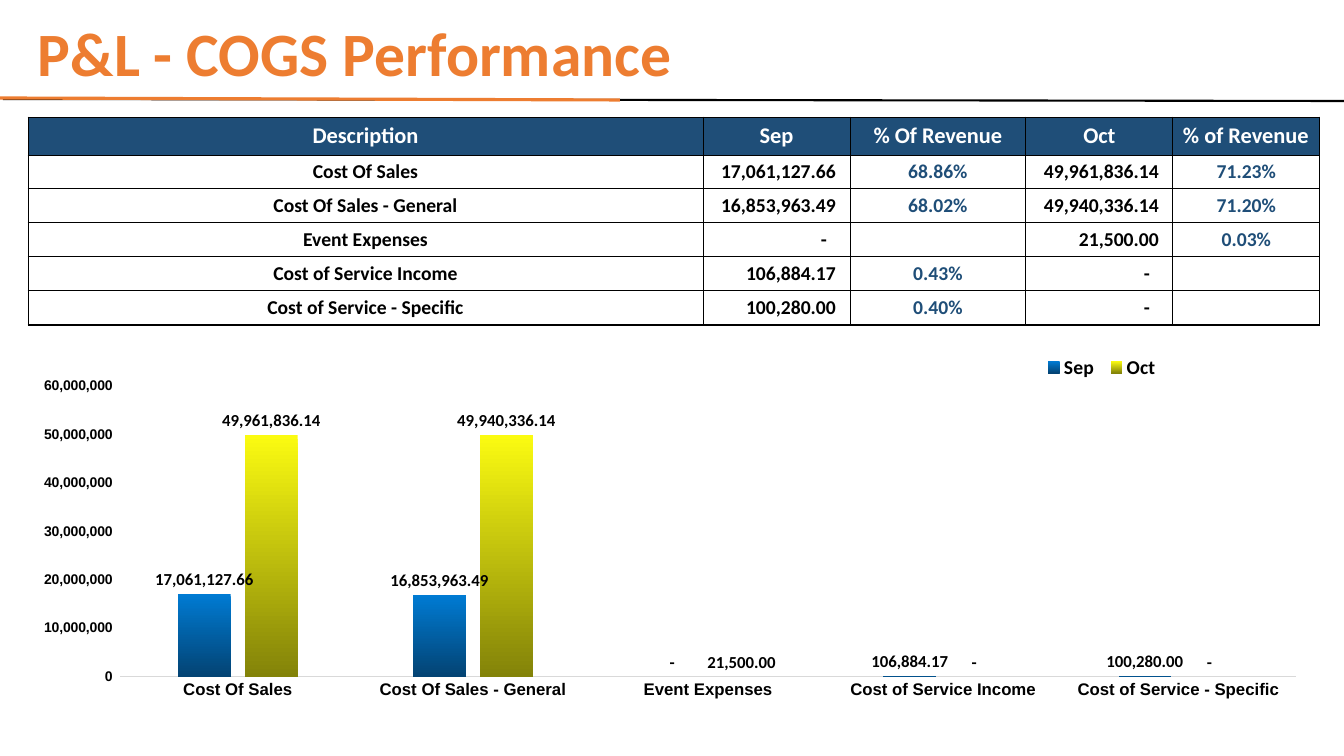
import dataclasses
import typing

import lxml.etree
import pptx
import pptx.chart.data
import pptx.dml.color
import pptx.enum.chart
import pptx.enum.shapes
import pptx.enum.text
import pptx.oxml.ns
import pptx.util

Color = pptx.dml.color.RGBColor
Align = pptx.enum.text.PP_ALIGN
Pt = pptx.util.Pt
qn = pptx.oxml.ns.qn


@dataclasses.dataclass(frozen=True)
class Theme:
    black: Color = Color(0, 0, 0)
    white: Color = Color(255, 255, 255)
    orange: Color = Color.from_string("ED7D31")
    navy: Color = Color.from_string("1F4E78")
    grey: Color = Color.from_string("D9D9D9")
    blues: tuple = (Color.from_string("007BD3"), Color.from_string("034373"))
    golds: tuple = (Color.from_string("FBFB11"), Color.from_string("838309"))
    body: str = "Calibri"
    plain: str = "Arial"
    title: int = 44
    head: int = 16
    text: int = 14
    label: int = 12
    small: int = 10


THEME = Theme()


@dataclasses.dataclass(frozen=True)
class Cost:
    name: str
    sep: float
    sep_rate: str
    oct: float
    oct_rate: str


@dataclasses.dataclass(frozen=True)
class Rule:
    start: tuple
    end: tuple
    color: Color
    width: float


HEADS = ("Description", "Sep", "% Of Revenue", "Oct", "% of Revenue")
WIDTHS = (675, 147, 176, 147, 147)
COSTS = (
    Cost("Cost Of Sales", 17061127.66, "68.86%", 49961836.14, "71.23%"),
    Cost("Cost Of Sales - General", 16853963.49, "68.02%", 49940336.14, "71.20%"),
    Cost("Event Expenses", 0, "", 21500, "0.03%"),
    Cost("Cost of Service Income", 106884.17, "0.43%", 0, ""),
    Cost("Cost of Service - Specific", 100280, "0.40%", 0, ""),
)
RULES = (
    Rule((3, 99), (1344, 101), THEME.black, 1.5),
    Rule((0, 98), (620, 100), THEME.orange, 2.25),
)
HEAD_HIGH, ROW_HIGH = 38, 34


def px(count: int) -> pptx.util.Emu:
    return pptx.util.Emu(round(count * 914400 / 100.8))


def put(thing: typing.Any, vals: dict) -> None:
    for key, val in vals.items():
        setattr(thing, key, val)


def style(font: typing.Any, size: int, color: Color, face: str = THEME.body) -> None:
    put(font, {"size": Pt(size), "bold": True, "name": face})
    font.color.rgb = color


def add_title(slide: typing.Any) -> None:
    frame = slide.shapes.add_textbox(px(28), px(11), px(1004), px(92)).text_frame
    put(frame, {"word_wrap": True, "vertical_anchor": pptx.enum.text.MSO_ANCHOR.MIDDLE})
    line = frame.paragraphs[0]
    line.line_spacing = 0.9
    run = line.add_run()
    run.text = "P&L - COGS Performance"
    style(run.font, THEME.title, THEME.orange)


def add_rule(slide: typing.Any, rule: Rule) -> None:
    ends = [px(n) for n in rule.start + rule.end]
    line = slide.shapes.add_connector(pptx.enum.shapes.MSO_CONNECTOR.STRAIGHT, *ends)
    line.line.color.rgb = rule.color
    line.line.width = Pt(rule.width)
    lxml.etree.SubElement(line._element.spPr, qn("a:effectLst"))


def edge(cell: typing.Any, top: float, base: float) -> None:
    props = cell._tc.get_or_add_tcPr()
    for side, width in {"L": 0.75, "R": 0.75, "T": top, "B": base}.items():
        line = lxml.etree.SubElement(props, qn(f"a:ln{side}"), w=str(Pt(width)))
        fill = lxml.etree.SubElement(line, qn("a:solidFill"))
        lxml.etree.SubElement(fill, qn("a:srgbClr"), val=str(THEME.black))


def fill_cell(cell: typing.Any, text: str, row: int, col: int) -> None:
    head, sum_col, rate_col = row == 0, col in (1, 3), col in (2, 4)
    edge(cell, 0.5 if head else 0.75, 1.2 if row == len(COSTS) else 0.75)
    cell.fill.solid()
    cell.fill.fore_color.rgb = THEME.navy if head else THEME.white
    anchor = pptx.enum.text.MSO_ANCHOR
    low = head and col == 0
    put(cell, {
        "margin_top": 0,
        "margin_bottom": px(5) if low else 0,
        "vertical_anchor": anchor.BOTTOM if low else anchor.MIDDLE,
    })
    line = cell.text_frame.paragraphs[0]
    line.alignment = Align.CENTER
    if head and col == 4:
        line.alignment = Align.LEFT
    elif sum_col and not head:
        line.alignment = Align.RIGHT
        cell.margin_right = px(23 if text == "-" else 14)
    if text:
        run = line.add_run()
        run.text = text
        color = THEME.white if head else THEME.navy if rate_col else THEME.black
        style(run.font, THEME.head if head else THEME.text, color)


def add_grid(slide: typing.Any) -> None:
    rows = [HEADS] + [
        tuple((f"{val:,.2f}" if val else "-") if not isinstance(val, str) else val
              for val in dataclasses.astuple(cost))
        for cost in COSTS
    ]
    high = HEAD_HIGH + ROW_HIGH * len(COSTS)
    grid = slide.shapes.add_table(
        len(rows), len(HEADS), px(28), px(117), px(sum(WIDTHS)), px(high)).table
    put(grid, {"first_row": False, "horz_banding": False})
    for col, width in enumerate(WIDTHS):
        grid.columns[col].width = px(width)
    for row, texts in enumerate(rows):
        grid.rows[row].height = px(ROW_HIGH if row else HEAD_HIGH)
        for col, text in enumerate(texts):
            fill_cell(grid.cell(row, col), text, row, col)


def place(node: typing.Any, spot: int, box: dict) -> None:
    for old in node.findall(qn("c:layout")):
        node.remove(old)
    layout = lxml.etree.Element(qn("c:layout"))
    inner = lxml.etree.SubElement(layout, qn("c:manualLayout"))
    for key, val in box.items():
        lxml.etree.SubElement(inner, qn(f"c:{key}"), val=str(val))
    node.insert(spot, layout)


def add_bars(slide: typing.Any) -> None:
    kinds = pptx.enum.chart
    data = pptx.chart.data.CategoryChartData()
    data.categories = [cost.name for cost in COSTS]
    data.add_series("Sep", [cost.sep for cost in COSTS])
    data.add_series("Oct", [cost.oct for cost in COSTS])
    chart = slide.shapes.add_chart(
        kinds.XL_CHART_TYPE.COLUMN_CLUSTERED, px(41), px(343), px(1278), px(375), data).chart
    put(chart, {"has_title": False, "has_legend": True})
    style(chart.font, THEME.small, THEME.black)
    put(chart.legend, {"position": kinds.XL_LEGEND_POSITION.BOTTOM, "include_in_layout": False})
    style(chart.legend.font, THEME.text, THEME.black)
    modes = {"xMode": "edge", "yMode": "edge"}
    place(chart.legend._element, 1, modes | {"x": 0.78, "y": 0.03, "w": 0.1, "h": 0.07})
    area = chart._chartSpace.chart.plotArea
    place(area, 0, {"layoutTarget": "inner"} | modes
          | {"x": 0.062, "y": 0.115, "w": 0.92, "h": 0.775})

    none = kinds.XL_TICK_MARK.NONE
    bare = {"major_tick_mark": none, "minor_tick_mark": none, "has_major_gridlines": False}
    for axis, size in ((chart.category_axis, THEME.label), (chart.value_axis, THEME.small)):
        put(axis, bare)
        style(axis.tick_labels.font, size, THEME.black, THEME.plain)
    chart.category_axis.format.line.color.rgb = THEME.grey
    chart.category_axis.format.line.width = Pt(0.75)
    scale = chart.value_axis
    put(scale, {"minimum_scale": 0, "maximum_scale": 60000000, "major_unit": 10000000})
    scale.format.line.fill.background()
    put(scale.tick_labels, {
        "number_format": r"#,##0_);[Red]\(#,##0\)", "number_format_is_linked": False})

    plot = chart.plots[0]
    put(plot, {"gap_width": 219, "overlap": -27, "vary_by_categories": False})
    for bars, shades in zip(plot.series, (THEME.blues, THEME.golds)):
        fill = bars.format.fill
        fill.gradient()
        fill.gradient_angle = 270
        for stop, shade in zip(fill.gradient_stops, shades):
            stop.color.rgb = shade
        labels = bars.data_labels
        put(labels, {
            "show_value": True,
            "position": kinds.XL_LABEL_POSITION.OUTSIDE_END,
            "number_format": r'_ * #,##0.00_ ;_ * \-#,##0.00_ ;_ * "-"?',
            "number_format_is_linked": False,
        })
        style(labels.font, THEME.label, THEME.black)


def main() -> None:
    deck = pptx.Presentation()
    put(deck, {"slide_width": px(1344), "slide_height": px(756)})
    slide = deck.slides.add_slide(deck.slide_layouts[6])
    add_title(slide)
    for rule in RULES:
        add_rule(slide, rule)
    add_grid(slide)
    add_bars(slide)
    deck.save("out.pptx")


if __name__ == "__main__":
    main()
